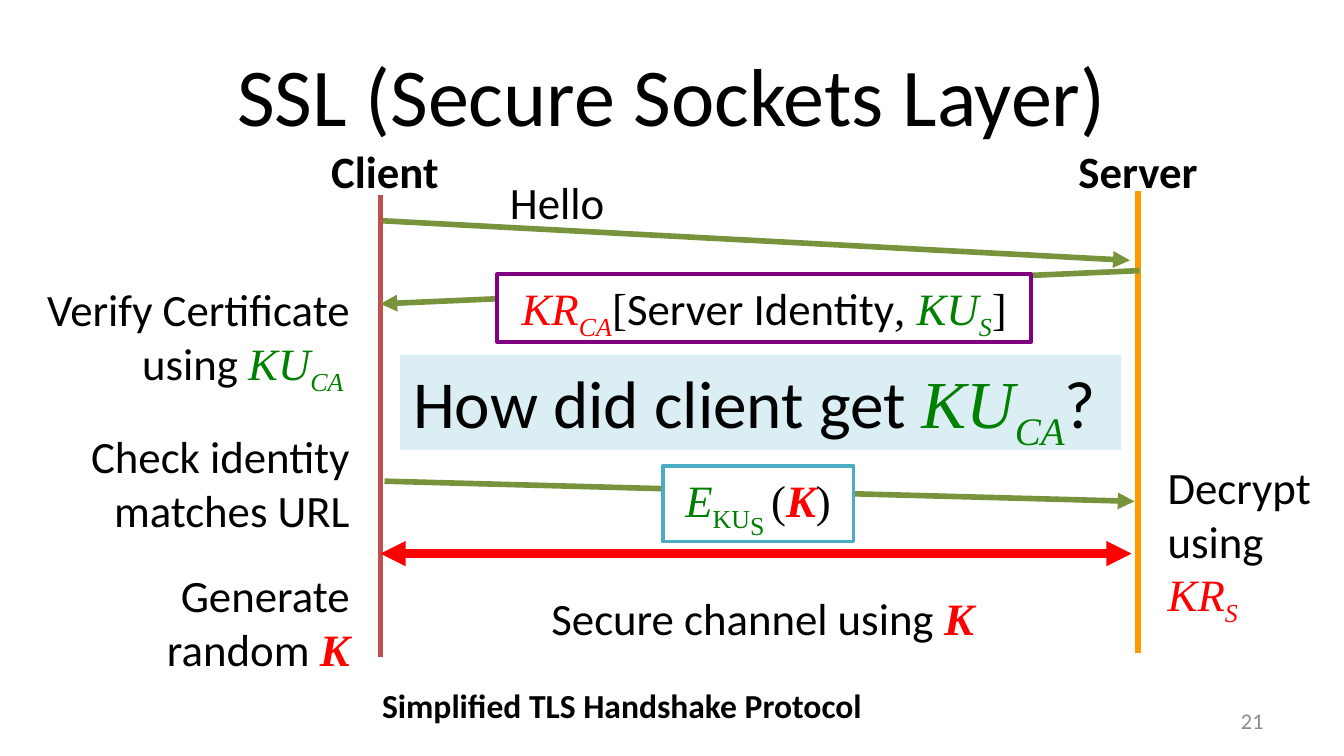
from dataclasses import dataclass, replace

from lxml.etree import SubElement
from pptx import Presentation
from pptx.dml.color import RGBColor
from pptx.enum.shapes import MSO_CONNECTOR, MSO_SHAPE
from pptx.enum.text import MSO_ANCHOR as ANCHOR, PP_ALIGN as ALIGN
from pptx.oxml.ns import qn
from pptx.util import Pt

BLACK = RGBColor(0x00, 0x00, 0x00)
WHITE = RGBColor(0xFF, 0xFF, 0xFF)
GRAY = RGBColor(0x8C, 0x8C, 0x8C)
RED = RGBColor(0xFF, 0x00, 0x00)
GREEN = RGBColor(0x00, 0x80, 0x00)
OLIVE = RGBColor(0x77, 0x93, 0x3C)
BRICK = RGBColor(0xC0, 0x50, 0x4D)
ORANGE = RGBColor(0xFF, 0x99, 0x00)
PURPLE = RGBColor(0x80, 0x00, 0x80)
TEAL = RGBColor(0x4B, 0xAC, 0xC6)
PALE_BLUE = RGBColor(0xDB, 0xEE, 0xF4)


@dataclass(frozen=True)
class Style:
    font: str = "Calibri"
    color: RGBColor = BLACK
    bold: bool = False
    italic: bool = False
    base: int = 0  # baseline shift in percent


PLAIN = Style()
BOLD = Style(bold=True)
SERIF = Style("Times New Roman")
PUBLIC = replace(SERIF, color=GREEN, italic=True)
PRIVATE = replace(PUBLIC, color=RED)
SECRET = replace(PRIVATE, bold=True)


def sub(style, base=-25):
    return replace(style, base=base)


class Deck:
    def __init__(self, width, height):
        self.prs = Presentation()
        self.prs.slide_width, self.prs.slide_height = Pt(width), Pt(height)
        self.s = self.prs.slides.add_slide(self.prs.slide_layouts[6])

    def fill_text(self, sp, paragraphs, size, align, anchor, wrap, gap=0):
        tf = sp.text_frame
        tf.word_wrap = wrap
        tf.vertical_anchor = anchor
        for i, runs in enumerate(paragraphs):
            p = tf.paragraphs[0] if i == 0 else tf.add_paragraph()
            p.alignment = align
            if i:
                p.space_before = Pt(gap)
            for text, style in runs:
                if text == "\n":
                    p.add_line_break()
                    continue
                r = p.add_run()
                r.text = text
                r.font.name, r.font.size = style.font, Pt(size)
                r.font.bold, r.font.italic = style.bold, style.italic
                r.font.color.rgb = style.color
                if style.base:
                    r.font._element.set("baseline", str(style.base * 1000))

    def text(self, box, *paragraphs, size=24, align=ALIGN.CENTER,
             anchor=ANCHOR.TOP, wrap=False, gap=0):
        sp = self.s.shapes.add_textbox(*map(Pt, box))
        self.fill_text(sp, paragraphs, size, align, anchor, wrap, gap)

    def panel(self, box, runs, fill=WHITE, border=None, size=24,
              align=ALIGN.CENTER, wrap=False):
        sp = self.s.shapes.add_shape(MSO_SHAPE.RECTANGLE, *map(Pt, box))
        sp.shadow.inherit = False
        sp.fill.solid()
        sp.fill.fore_color.rgb = fill
        if border is None:
            sp.line.fill.background()
        else:
            sp.line.color.rgb = border
            sp.line.width = Pt(2)
        self.fill_text(sp, [runs], size, align, ANCHOR.TOP, wrap)

    def line(self, start, end, color, width=3, ends=()):
        c = self.s.shapes.add_connector(
            MSO_CONNECTOR.STRAIGHT, *map(Pt, (*start, *end)))
        c.line.color.rgb = color
        c.line.width = Pt(width)
        for end_name in ends:
            SubElement(c.line._get_or_add_ln(), qn(f"a:{end_name}"), type="triangle")
        SubElement(c._element.spPr, qn("a:effectLst"))


def main():
    d = Deck(720, 405)
    client_x, server_x = 203.8, 609.8

    # Title and slide number
    d.text((36, 16.5, 648, 67.5), [("SSL (Secure Sockets Layer)", PLAIN)],
           size=44, anchor=ANCHOR.MIDDLE, wrap=True)
    d.text((516, 375.3, 168, 21.6), [("21", Style(color=GRAY))],
           size=12, align=ALIGN.RIGHT, anchor=ANCHOR.MIDDLE, wrap=True)

    # Lifelines
    d.line((client_x, 104.5), (client_x, 352), BRICK)
    d.line((server_x, 102.5), (server_x, 350), ORANGE)
    d.text((169.7, 73.6, 73, 36), [("Client", BOLD)])
    d.text((570.2, 73.6, 79, 36), [("Server", BOLD)])

    # Hello and certificate
    d.line((205.2, 118.3), (605.3, 139.5), OLIVE, ends=["tailEnd"])
    d.text((265.7, 90.2, 65.5, 36), [("Hello", PLAIN)])
    d.line((610.5, 145), (client_x, 162.8), OLIVE, ends=["tailEnd"])
    d.panel((266.4, 146.9, 286, 36.3), [
        ("KR", PRIVATE), ("CA", sub(PRIVATE)), ("[", SERIF),
        ("Server Identity", PLAIN), (", ", SERIF),
        ("KU", PUBLIC), ("S", sub(PUBLIC)), ("]", SERIF)], border=PURPLE)

    # Client steps
    d.text((12.2, 147.6, 182.2, 216),
           [("Verify Certificate using ", PLAIN), ("KU", PUBLIC),
            ("CA ", sub(PUBLIC))],
           [("Check identity matches URL", PLAIN)],
           [("Generate random ", PLAIN), ("K", SECRET)],
           align=ALIGN.RIGHT, wrap=True, gap=17)

    # Encrypted key and server step
    upright = replace(PUBLIC, italic=False)
    d.line((206, 257.8), (607.8, 268.6), OLIVE, ends=["tailEnd"])
    d.panel((355, 249.8, 102.2, 40.3), [
        ("E", PUBLIC), ("KU", sub(upright)), ("S ", sub(upright, -40)),
        ("(", SERIF), ("K", SECRET), (")", SERIF)], border=TEAL)
    d.text((618.5, 242.6, 95.8, 94.3),
           [("Decrypt", PLAIN), ("\n", PLAIN), ("using ", PLAIN),
            ("KR", PRIVATE), ("S", sub(PRIVATE))],
           align=ALIGN.LEFT, wrap=True)

    # Secure channel
    d.line((client_x, 296.6), (606.2, 296.6), RED, 4.5, ["headEnd", "tailEnd"])
    d.text((283.7, 313.2, 249.8, 36),
           [("Secure channel using ", PLAIN), ("K", SECRET)])
    d.text((197.6, 363.6, 275, 29), [("Simplified TLS Handshake Protocol", BOLD)],
           size=18, align=ALIGN.LEFT)

    # Question
    d.panel((214.2, 190.1, 386.6, 51), [
        ("How did client get ", PLAIN), ("KU", PUBLIC),
        ("CA", sub(PUBLIC)), ("?", PLAIN)],
        fill=PALE_BLUE, size=36, align=ALIGN.LEFT, wrap=True)

    d.prs.save("out.pptx")


if __name__ == "__main__":
    main()
